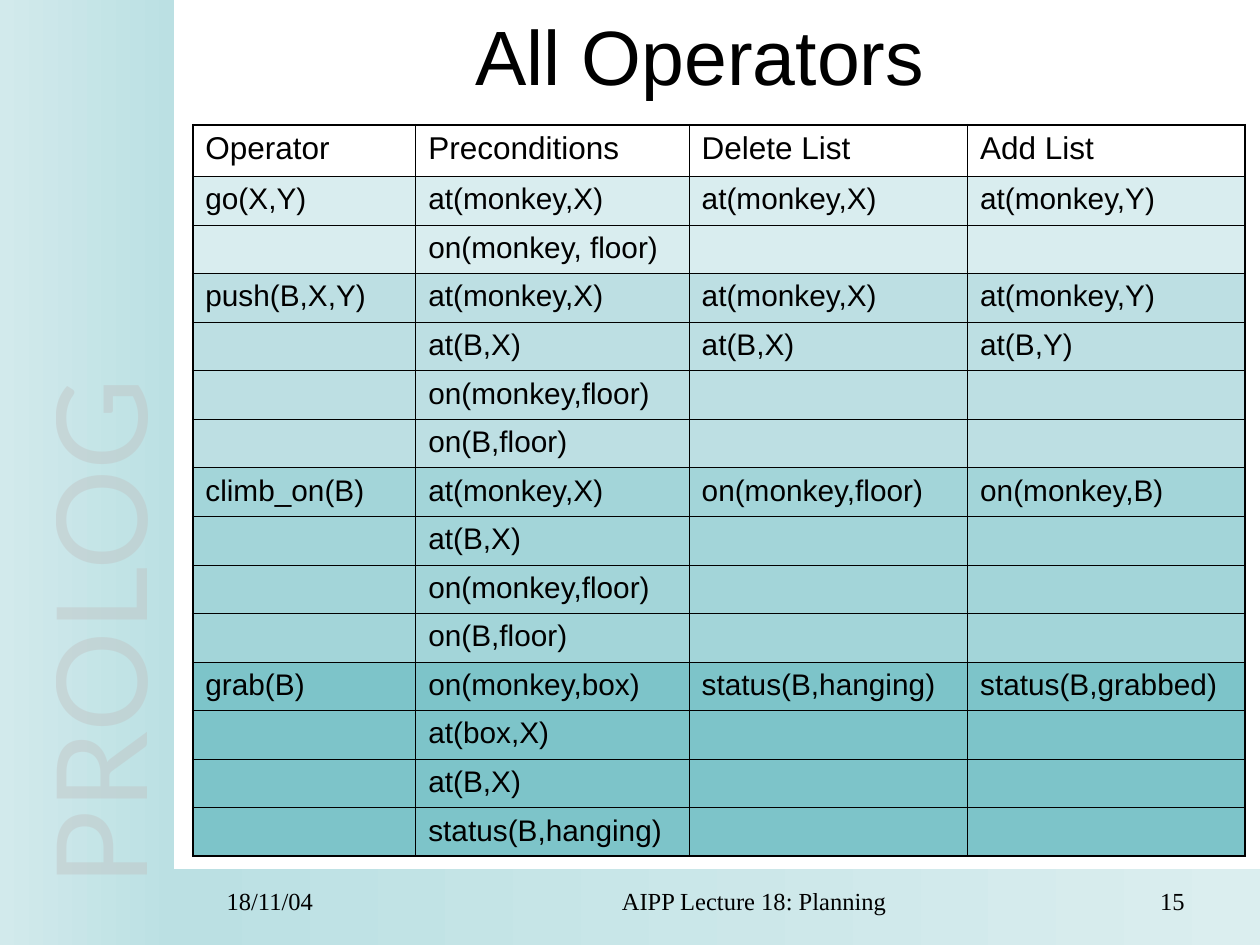
from lxml import etree
from pptx import Presentation
from pptx.dml.color import RGBColor
from pptx.enum.shapes import MSO_SHAPE
from pptx.enum.text import MSO_ANCHOR, PP_ALIGN
from pptx.oxml.ns import qn
from pptx.text.text import Font
from pptx.util import Inches, Pt

COLORS = {
    "text": "000000",
    "bar_light": "DBEEEF",
    "bar_dark": "BBE0E3",
    "side_light": "D2EAEC",
    "word_start": "C0C0C0",
    "word_end": "ECECEC",
    "go": "D9EDEF",
    "push": "BDDFE3",
    "climb_on": "A3D5D9",
    "grab": "7DC4C9",
}
HEADER = ["Operator", "Preconditions", "Delete List", "Add List"]
OPERATORS = [
    ("go", "go(X,Y)",
     ["at(monkey,X)", "on(monkey, floor)"],
     ["at(monkey,X)"],
     ["at(monkey,Y)"]),
    ("push", "push(B,X,Y)",
     ["at(monkey,X)", "at(B,X)", "on(monkey,floor)", "on(B,floor)"],
     ["at(monkey,X)", "at(B,X)"],
     ["at(monkey,Y)", "at(B,Y)"]),
    ("climb_on", "climb_on(B)",
     ["at(monkey,X)", "at(B,X)", "on(monkey,floor)", "on(B,floor)"],
     ["on(monkey,floor)"],
     ["on(monkey,B)"]),
    ("grab", "grab(B)",
     ["on(monkey,box)", "at(box,X)", "at(B,X)", "status(B,hanging)"],
     ["status(B,hanging)"],
     ["status(B,grabbed)"]),
]
COL_WIDTHS = [1.77, 2.17, 2.21, 2.2]
TABLE_HEIGHT, HEADER_HEIGHT = 5.81, 0.41
OUTER, INNER = 1.08, 0.45


def rgb(name):
    return RGBColor.from_string(COLORS[name])


def style_font(font, size, name):
    font.size = Pt(size)
    font.name = name
    font.color.rgb = rgb("text")


def set_gradient(fill, start, end):
    fill.gradient()
    fill.gradient_angle = 180
    for stop, color in zip(fill.gradient_stops, (start, end)):
        stop.color.rgb = rgb(color)


def add_band(slide, box, start, end):
    sp = slide.shapes.add_shape(MSO_SHAPE.RECTANGLE, *map(Inches, box))
    sp.shadow.inherit = False
    sp.line.fill.background()
    set_gradient(sp.fill, start, end)


def add_text(slide, box, text, size, name, align=PP_ALIGN.LEFT, indent=0):
    sp = slide.shapes.add_textbox(*map(Inches, box))
    tf = sp.text_frame
    tf.word_wrap = True
    p = tf.paragraphs[0]
    p.text = text
    p.alignment = align
    if indent:
        p._p.get_or_add_pPr().set("marL", str(Inches(indent)))
    style_font(p.font, size, name)
    return sp


def add_side_word(slide):
    sp = add_text(slide, (-2.77, 3.17, 6.85, 1.07), "PROLOG", 72, "Lato")
    sp.rotation = 270
    sp.text_frame.word_wrap = False
    r = sp.text_frame.paragraphs[0].runs[0]
    set_gradient(r.font.fill, "word_start", "word_end")
    first_color = next(r._r.iter(qn("a:srgbClr")))
    etree.SubElement(first_color, qn("a:alpha")).set("val", "42000")


def add_border(cell, side, width):
    ln = etree.SubElement(cell._tc.get_or_add_tcPr(), qn(f"a:ln{side}"))
    ln.set("w", str(Pt(width)))
    fill = etree.SubElement(ln, qn("a:solidFill"))
    etree.SubElement(fill, qn("a:srgbClr")).set("val", COLORS["text"])


def fill_cell(cell, text, size, color, outer_sides):
    for side in "LRTB":
        add_border(cell, side, OUTER if side in outer_sides else INNER)
    if color:
        cell.fill.solid()
        cell.fill.fore_color.rgb = rgb(color)
    else:
        cell.fill.background()
    p = cell.text_frame.paragraphs[0]
    if text:
        p.text = text
        style_font(p.font, size, "Arial")
    else:
        style_font(Font(p._p.get_or_add_endParaRPr()), size, "Arial")


def operator_rows():
    rows = [(None, HEADER)]
    for color, operator, *lists in OPERATORS:
        columns = [[operator], *lists]
        for i in range(max(map(len, columns))):
            rows.append((color, [c[i] if i < len(c) else "" for c in columns]))
    return rows


def add_operator_table(slide):
    rows = operator_rows()
    last_row, last_col = len(rows) - 1, len(HEADER) - 1
    frame = slide.shapes.add_table(
        len(rows), len(HEADER), Inches(1.53), Inches(0.99),
        Inches(sum(COL_WIDTHS)), Inches(TABLE_HEIGHT))
    table = frame.table
    table.first_row = table.horz_banding = False
    for column, width in zip(table.columns, COL_WIDTHS):
        column.width = Inches(width)
    body_height = (TABLE_HEIGHT - HEADER_HEIGHT) / last_row
    for i, (color, texts) in enumerate(rows):
        table.rows[i].height = Inches(body_height if i else HEADER_HEIGHT)
        for j, text in enumerate(texts):
            edges = {"L": j == 0, "R": j == last_col,
                     "T": i == 0, "B": i == last_row}
            outer_sides = [side for side, on_edge in edges.items() if on_edge]
            fill_cell(table.cell(i, j), text, 17 if i else 18, color, outer_sides)


def main():
    prs = Presentation()
    prs.slide_width, prs.slide_height = Inches(10), Inches(7.5)
    slide = prs.slides.add_slide(prs.slide_layouts[6])

    add_band(slide, (1.38, 6.9, 8.62, 0.6), "bar_light", "bar_dark")
    add_band(slide, (0, 0, 1.38, 7.5), "bar_dark", "side_light")
    add_side_word(slide)

    title = add_text(slide, (1.38, 0, 8.35, 0.87), "All Operators", 44, "Arial",
                     PP_ALIGN.CENTER)
    title.text_frame.vertical_anchor = MSO_ANCHOR.MIDDLE
    add_operator_table(slide)

    for left, width, text, align in [
        (3.42, 4.89, "AIPP Lecture 18: Planning", PP_ALIGN.CENTER),
        (8.47, 1.03, "15", PP_ALIGN.RIGHT),
        (1.46, 1.81, "18/11/04", PP_ALIGN.LEFT),
    ]:
        add_text(slide, (left, 6.98, width, 0.37), text, 14, "Times New Roman",
                 align, indent=0.24)

    prs.save("out.pptx")


if __name__ == "__main__":
    main()
